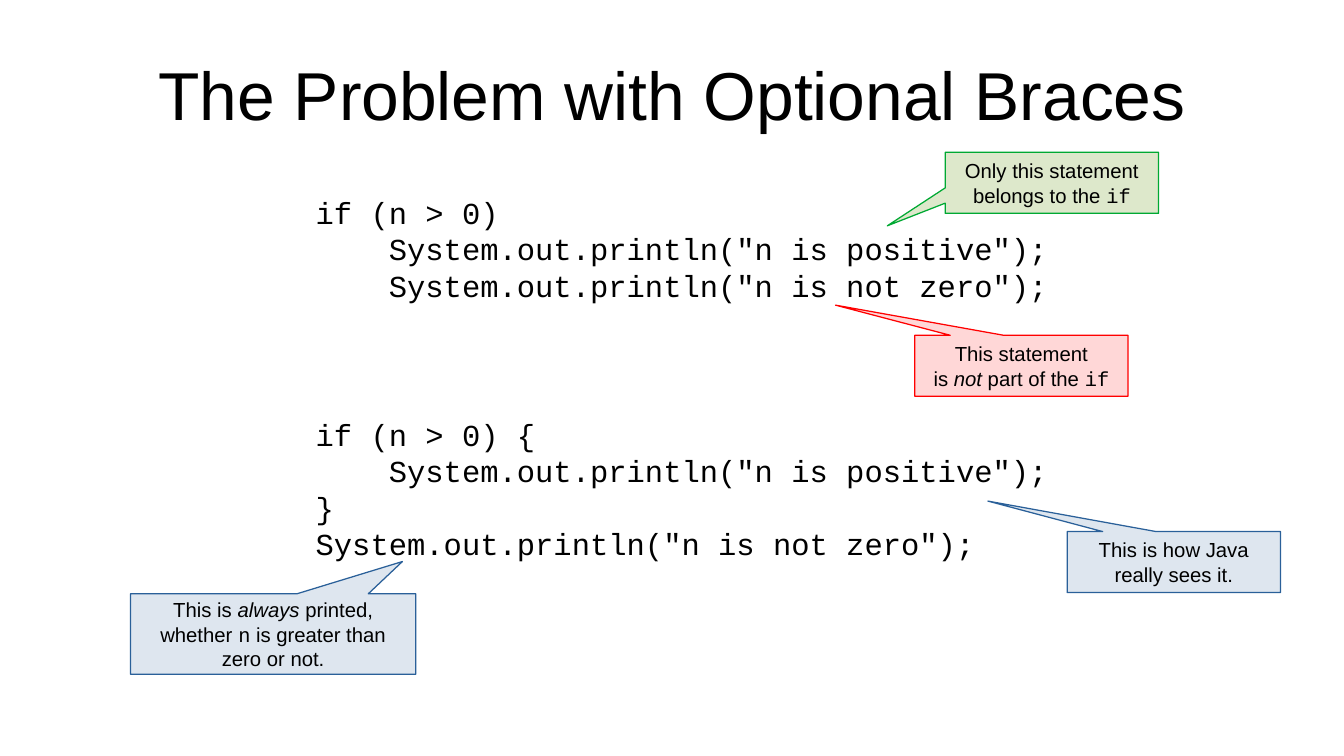
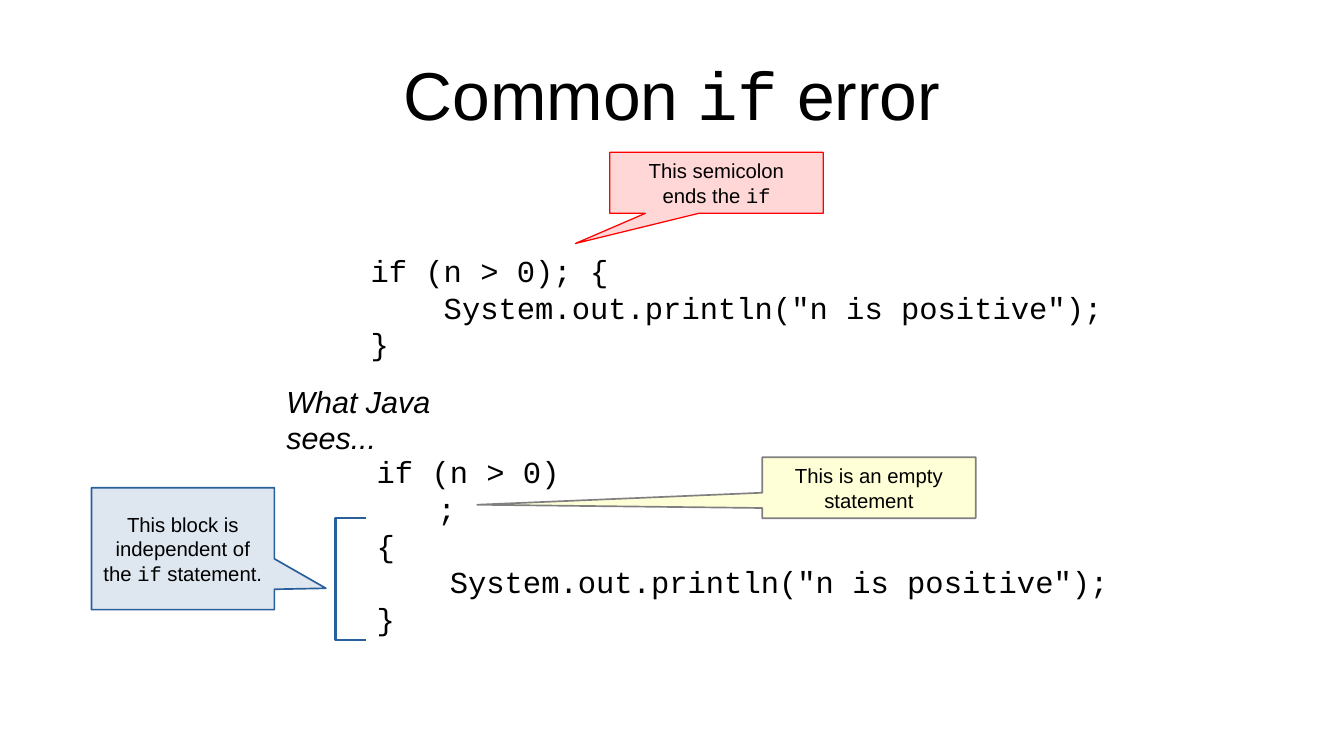
from dataclasses import dataclass

from pptx import Presentation
from pptx.dml.color import RGBColor
from pptx.enum.shapes import MSO_SHAPE
from pptx.enum.text import MSO_ANCHOR, MSO_AUTO_SIZE, PP_ALIGN
from pptx.util import Inches, Pt


@dataclass(frozen=True)
class Theme:
    text: str = "000000"
    prose: str = "Arial"
    code: str = "Courier New"
    title_size: int = 40
    body_size: int = 18
    callout_size: int = 12
    bracket_weight: float = 1.5


THEME = Theme()
CELL = 0.25  # inches per grid column and row
SLIDE_SIZE = (11.02, 6.2)
TITLE_BOX = (2.2, 1, 39.68, 4.16)

# Callout name: (fill, line)
PALETTE = {
    "right": ("DDE8CB", "00A933"),
    "wrong": ("FFD7D7", "FF0000"),
    "java": ("DEE6EF", "2A6099"),
    "empty": ("FFFFD7", "808080"),
}

# All places are in grid cells: boxes are left, top, width, height; tips are x, y.
# In prose, `...` marks code and *...* marks italics.
SLIDES = [
    {
        "title": "The Problem with Optional Braces",
        "code": [
            ((9.96, 6.16, 25.04, 4.92), """if (n > 0)
    System.out.println("n is positive");
    System.out.println("n is not zero");"""),
            ((9.96, 13.44, 25.04, 6.08), """if (n > 0) {
    System.out.println("n is positive");
}
System.out.println("n is not zero");"""),
        ],
        "callouts": [
            ("right", (31, 5, 7, 2), (29.1, 7.41), 0,
             "Only this statement\nbelongs to the `if`"),
            ("wrong", (30, 11, 7, 2), (27.4, 10.01), 0,
             "This statement\nis *not* part of the `if`"),
            ("java", (35, 17.44, 7, 2), (32.4, 16.44), 0,
             "This is how Java\nreally sees it."),
            ("java", (4.28, 19.48, 9.36, 2.64), (13.2, 18.42), 0,
             "This is *always* printed,\nwhether `n` is greater than\nzero or not."),
        ],
    },
    {
        "title": "Common `if` error",
        "code": [
            ((11.76, 8.08, 25.04, 3.92), """if (n > 0); {
    System.out.println("n is positive");
}"""),
            ((11.96, 14.68, 25.04, 7.2), """if (n > 0)
\t;
{
    System.out.println("n is positive");
}"""),
        ],
        "callouts": [
            ("wrong", (20, 5, 7, 2), (18.87, 7.99), 0,
             "This semicolon\nends the `if`"),
            ("empty", (25, 15, 7, 2), (15.65, 16.56), 1,
             "This is an empty\nstatement"),
            ("java", (3, 16, 6, 4), (10.69, 19.3), 1,
             "This block is\nindependent of\nthe `if` statement."),
        ],
        "brackets": [(11, 17, 1, 4)],
        "labels": [((9, 12.36, 8.72, 1.52), "*What Java sees...*")],
    },
]


def cells(values):
    return [Inches(value * CELL) for value in values]


def color(value):
    return RGBColor.from_string(value)


def prose_runs(line):
    """Yield (text, font name, italic) for each marked part of a line."""
    for code_index, part in enumerate(line.split("`")):
        font_name = THEME.code if code_index % 2 else THEME.prose
        for italic_index, piece in enumerate(part.split("*")):
            if piece:
                yield piece, font_name, bool(italic_index % 2)


def code_runs(line):
    yield line, THEME.code, False


def write(shape, text, size, runs=prose_runs, align=PP_ALIGN.LEFT, inset=(0.1, 0.05), **frame_format):
    frame = shape.text_frame
    horizontal, vertical = (Inches(value) for value in inset)
    settings = {
        "margin_left": horizontal, "margin_right": horizontal,
        "margin_top": vertical, "margin_bottom": vertical,
        "word_wrap": True, "vertical_anchor": MSO_ANCHOR.TOP, **frame_format,
    }
    for name, value in settings.items():
        setattr(frame, name, value)
    for index, line in enumerate(text.split("\n")):
        paragraph = frame.add_paragraph() if index else frame.paragraphs[0]
        paragraph.alignment = align
        for piece, font_name, italic in runs(line):
            run = paragraph.add_run()
            run.text = piece
            font_format = {"name": font_name, "size": Pt(size), "italic": italic}
            for name, value in font_format.items():
                setattr(run.font, name, value)
            run.font.color.rgb = color(THEME.text)


def add_text(slide, box, text, size, **text_format):
    write(slide.shapes.add_textbox(*cells(box)), text, size, **text_format)


def outline(shape, line_color, weight):
    shape.shadow.inherit = False
    shape.line.color.rgb = color(line_color)
    shape.line.width = Pt(weight)


def add_callout(slide, style, box, tip, weight, text):
    shape = slide.shapes.add_shape(MSO_SHAPE.RECTANGULAR_CALLOUT, *cells(box))
    fill, line = PALETTE[style]
    shape.fill.solid()
    shape.fill.fore_color.rgb = color(fill)
    outline(shape, line, weight)
    for axis in range(2):
        start, extent = box[axis], box[axis + 2]
        shape.adjustments[axis] = (tip[axis] - start) / extent - 0.5
    margin = weight / 100
    write(shape, text, THEME.callout_size, align=PP_ALIGN.CENTER,
          inset=(0.1 + margin, 0.05 + margin), word_wrap=False,
          vertical_anchor=MSO_ANCHOR.MIDDLE)


def add_bracket(slide, box):
    left, top, width, height = cells(box)
    builder = slide.shapes.build_freeform(left + width, top)
    corners = [(left, top), (left, top + height), (left + width, top + height)]
    builder.add_line_segments(corners, close=False)
    shape = builder.convert_to_shape()
    shape.fill.background()
    outline(shape, PALETTE["java"][1], THEME.bracket_weight)


def build_slide(presentation, content):
    slide = presentation.slides.add_slide(presentation.slide_layouts[6])
    add_text(slide, TITLE_BOX, content["title"], THEME.title_size,
             align=PP_ALIGN.CENTER, inset=(0, 0), vertical_anchor=MSO_ANCHOR.MIDDLE)
    for box, text in content["code"]:
        add_text(slide, box, text, THEME.body_size, runs=code_runs)
    for callout in content["callouts"]:
        add_callout(slide, *callout)
    for box in content.get("brackets", []):
        add_bracket(slide, box)
    for box, text in content.get("labels", []):
        add_text(slide, box, text, THEME.body_size, word_wrap=False,
                 auto_size=MSO_AUTO_SIZE.SHAPE_TO_FIT_TEXT)


def main():
    presentation = Presentation()
    presentation.slide_width, presentation.slide_height = map(Inches, SLIDE_SIZE)
    for content in SLIDES:
        build_slide(presentation, content)
    presentation.save("out.pptx")


if __name__ == "__main__":
    main()
